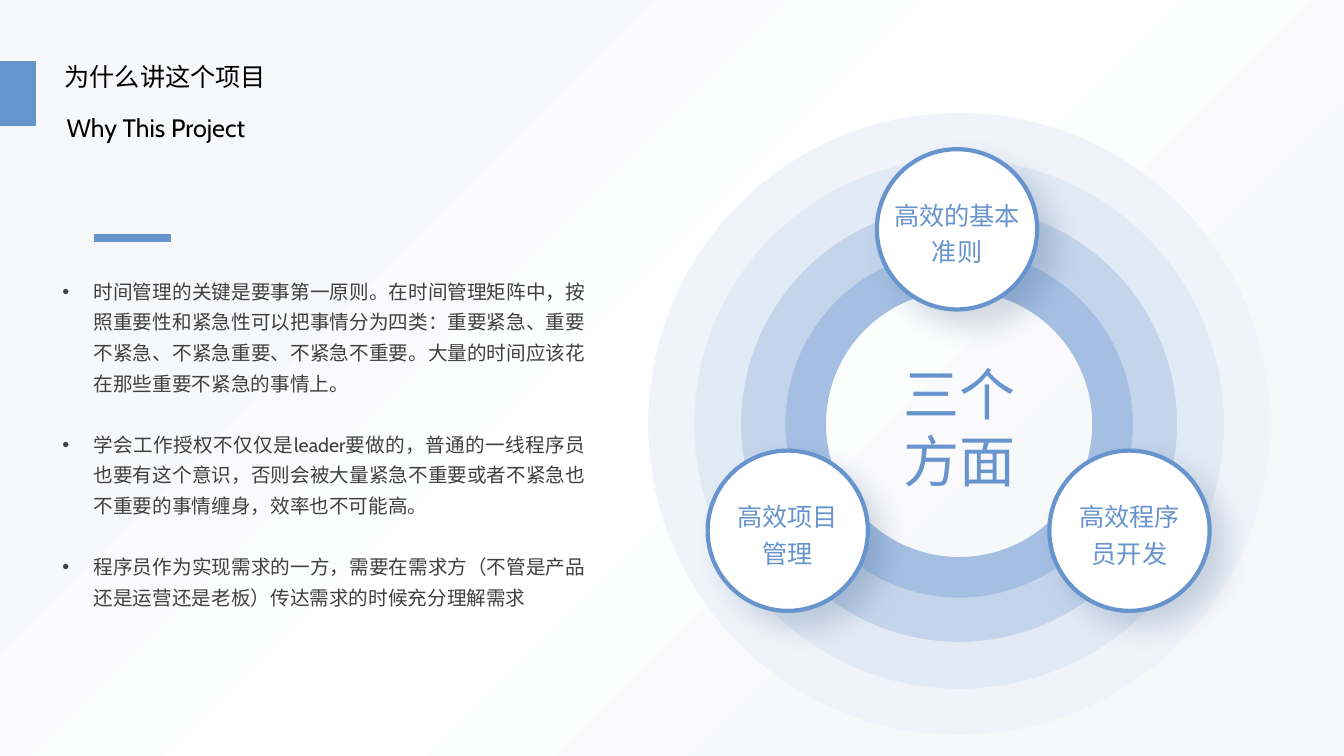
from lxml.etree import SubElement
from pptx import Presentation
from pptx.dml.color import RGBColor
from pptx.enum.shapes import MSO_CONNECTOR, MSO_SHAPE
from pptx.enum.text import MSO_ANCHOR as Anchor, MSO_AUTO_SIZE as AutoSize, PP_ALIGN as Align
from pptx.oxml.ns import qn
from pptx.util import Pt

# Content
TITLE = "为什么讲这个项目"
SUBTITLE = "Why This Project"
CENTER_TEXT = "三个\v方面"
BULLETS = [
    "时间管理的关键是要事第一原则。在时间管理矩阵中，按照重要性和紧急性可以把事情分为四类：重要紧急、重要不紧急、不紧急重要、不紧急不重要。大量的时间应该花在那些重要不紧急的事情上。",
    "学会工作授权不仅仅是leader要做的，普通的一线程序员也要有这个意识，否则会被大量紧急不重要或者不紧急也不重要的事情缠身，效率也不可能高。",
    "程序员作为实现需求的一方，需要在需求方（不管是产品还是运营还是老板）传达需求的时候充分理解需求",
]
# Text, centre x, centre y, label width
ASPECTS = [
    ("高效的基本准则", 683.6, 163.8, 99.4),
    ("高效程序员开发", 806.8, 379.1, 77),
    ("高效项目管理", 562.7, 379.1, 77),
]
# Diameter, band as a share of the diameter, colour
RINGS = [
    (255.6, 0.128, "A4BFE2"),
    (318.2, 0.11, "C3D4EB"),
    (381.6, 0.092, "E1EAF5"),
    (444.2, 0.074, "F0F4FA"),
]
BACKGROUND = [(0, "F7F8FA"), (25, "F7F8FA"), (50, "FFFFFF"), (75, "F7F8FA"), (100, "F7F8FA")]

# Format
FONT, BLUE, WHITE, BLACK, GREY = "Cabin", "6894CE", "FFFFFF", "000000", "404040"
SHADOW = "264875"
RING_X, RING_Y = 685.1, 302.8
NODE_SIZE, LABEL_HEIGHT = 114.5, 51
INDENT, BULLET_GAP = 22.3, 22


def color(hex_string):
    return RGBColor.from_string(hex_string)


def box_around(x, y, width, height):
    return x - width / 2, y - height / 2, width, height


def add_preset(slide, kind, box, fill, line=None, line_width=1):
    shape = slide.shapes.add_shape(kind, *map(Pt, box))
    shape.shadow.inherit = False
    shape.fill.solid()
    shape.fill.fore_color.rgb = color(fill)
    if line:
        shape.line.color.rgb = color(line)
        shape.line.width = Pt(line_width)
    else:
        shape.line.fill.background()
    return shape


def add_shadow(shape):
    effects = shape._element.spPr.find(qn("a:effectLst"))
    shadow = SubElement(effects, qn("a:outerShdw"), blurRad=str(Pt(20)), dist=str(Pt(15)),
                        dir=str(45 * 60000), algn="tl", rotWithShape="0")
    tint = SubElement(shadow, qn("a:srgbClr"), val=SHADOW)
    SubElement(tint, qn("a:alpha"), val="20000")


def add_bullet(paragraph):
    properties = paragraph._p.get_or_add_pPr()
    properties.set("marL", str(Pt(INDENT)))
    properties.set("indent", str(-Pt(INDENT)))
    SubElement(properties, qn("a:buFont"), typeface="Arial")
    SubElement(properties, qn("a:buChar"), char="•")


def write(shape, texts, size, text_color, align=Align.LEFT, anchor=Anchor.TOP,
          spacing=1.0, wrap=True, bullets=False):
    frame = shape.text_frame
    settings = dict(margin_left=0, margin_top=0, margin_right=0, margin_bottom=0,
                    auto_size=AutoSize.NONE, word_wrap=wrap, vertical_anchor=anchor)
    for name, value in settings.items():
        setattr(frame, name, value)
    for index, text in enumerate(texts):
        paragraph = frame.add_paragraph() if index else frame.paragraphs[0]
        paragraph.text = text
        paragraph.alignment = align
        paragraph.line_spacing = spacing
        paragraph.space_before = Pt(BULLET_GAP if index else 0)
        if bullets:
            add_bullet(paragraph)
        for run in paragraph.runs:
            run.font.name = FONT
            run.font.size = Pt(size)
            run.font.color.rgb = color(text_color)


def add_text(slide, box, texts, size, text_color, **format_values):
    shape = slide.shapes.add_textbox(*map(Pt, box))
    write(shape, texts, size, text_color, **format_values)


def paint_background(slide):
    fill = slide.background.fill
    fill.gradient()
    fill.gradient_angle = 315
    stops = slide._element.find(".//" + qn("a:gsLst"))
    for stop in list(stops):
        stops.remove(stop)
    for position, hex_string in BACKGROUND:
        stop = SubElement(stops, qn("a:gs"), pos=str(position * 1000))
        SubElement(stop, qn("a:srgbClr"), val=hex_string)


def add_header(slide):
    title = slide.shapes.title
    for name, value in dict(left=46, top=44, width=254, height=34).items():
        setattr(title, name, Pt(value))
    write(title, [TITLE], 18, BLACK, wrap=False)
    add_text(slide, (47.5, 80.6, 262, 12.2), [SUBTITLE], 18, BLACK)
    add_preset(slide, MSO_SHAPE.RECTANGLE, (0, 44, 25.2, 45.4), BLUE, BLUE)


def add_diagram(slide):
    for diameter, band, fill in RINGS:
        box = box_around(RING_X, RING_Y, diameter, diameter)
        ring = add_preset(slide, MSO_SHAPE.DONUT, box, fill)
        ring.adjustments[0] = band
    for text, x, y, width in ASPECTS:
        node = add_preset(slide, MSO_SHAPE.OVAL, box_around(x, y, NODE_SIZE, NODE_SIZE),
                          WHITE, BLUE, 3)
        add_shadow(node)
        add_text(slide, box_around(x, y + 0.5, width, LABEL_HEIGHT), [text], 18, BLUE,
                 align=Align.CENTER, spacing=1.2)
    add_text(slide, box_around(RING_X, 305.6, 132.5, 97.2), [CENTER_TEXT], 40, BLUE,
             align=Align.CENTER)


def add_body(slide):
    add_text(slide, (44.6, 194.4, 373.7, 241.2), BULLETS, 14, GREY, align=Align.JUSTIFY,
             anchor=Anchor.MIDDLE, spacing=1.3, bullets=True)
    accent = slide.shapes.add_connector(MSO_CONNECTOR.STRAIGHT, Pt(67), Pt(170), Pt(122), Pt(170))
    accent.line.color.rgb = color(BLUE)
    accent.line.width = Pt(5.5)
    SubElement(accent._element.spPr, qn("a:effectLst"))


def main():
    presentation = Presentation()
    presentation.slide_width, presentation.slide_height = Pt(960), Pt(540)
    slide = presentation.slides.add_slide(presentation.slide_layouts[5])
    paint_background(slide)
    add_header(slide)
    add_diagram(slide)
    add_body(slide)
    presentation.save("out.pptx")


if __name__ == "__main__":
    main()
